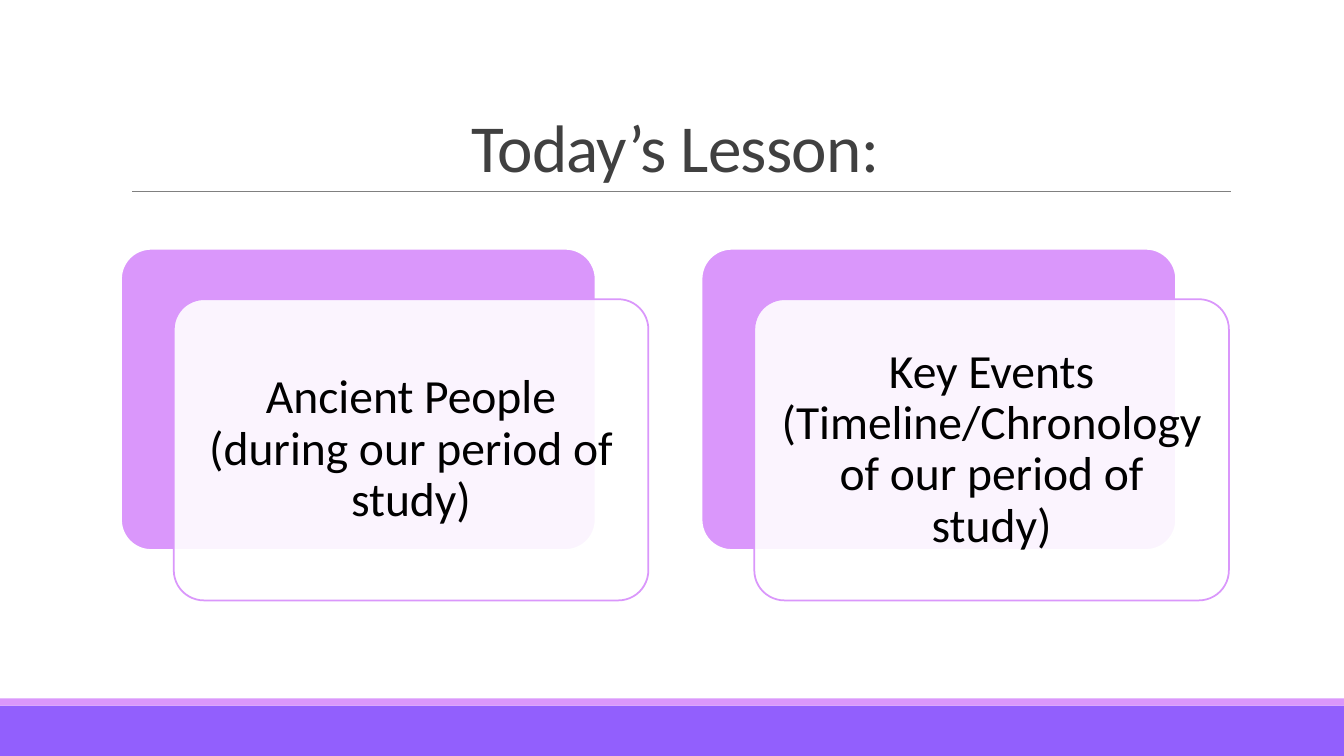
"""Build the lesson overview slide with two layered cards."""
from dataclasses import dataclass

import lxml.etree
import pptx
import pptx.dml.color
import pptx.enum.shapes
import pptx.enum.text
import pptx.oxml.ns
import pptx.util

Cm = pptx.util.Cm
Pt = pptx.util.Pt
SHAPE = pptx.enum.shapes.MSO_SHAPE
ANCHOR = pptx.enum.text.MSO_ANCHOR
qn = pptx.oxml.ns.qn


@dataclass(frozen=True)
class Theme:
    """Hold the colours, font and type sizes."""
    font: str = "Calibri"
    violet: str = "925FFD"
    lilac: str = "DA97FB"
    white: str = "FFFFFF"
    rule: str = "808080"
    title: str = "404040"
    body: str = "000000"
    title_size: int = 48
    body_size: int = 34


def rgb(value):
    """Return a colour object for a hex value."""
    return pptx.dml.color.RGBColor.from_string(value)


def write(tf, text, *, font, size, color, anchor, spacing, inset=None, tracking=None):
    """Write one centred paragraph into a text frame."""
    tf.word_wrap = True
    tf.vertical_anchor = anchor
    if inset is not None:
        tf.margin_left = tf.margin_right = tf.margin_top = tf.margin_bottom = Cm(inset)
    p = tf.paragraphs[0]
    p.alignment = pptx.enum.text.PP_ALIGN.CENTER
    p.line_spacing = spacing
    r = p.add_run()
    r.text = text
    r.font.name = font
    r.font.size = Pt(size)
    r.font.color.rgb = rgb(color)
    if tracking is not None:
        r.font._element.set("spc", str(int(tracking * 100)))


class Deck:
    """Draw styled elements on the current slide."""

    def __init__(self, prs, theme):
        """Add a blank slide and keep its style."""
        self.theme = theme
        self.s = prs.slides.add_slide(prs.slide_layouts[6])

    def box(self, x, y, w, h, fill, *, kind=SHAPE.RECTANGLE, line=None, alpha=None):
        """Add a filled shape with an optional outline and opacity."""
        sp = self.s.shapes.add_shape(kind, Cm(x), Cm(y), Cm(w), Cm(h))
        sp.shadow.inherit = False
        sp.fill.solid()
        sp.fill.fore_color.rgb = rgb(fill)
        if alpha is not None:
            clr = sp._element.spPr.find(f"{qn('a:solidFill')}/{qn('a:srgbClr')}")
            lxml.etree.SubElement(clr, qn("a:alpha"), val=str(alpha * 1000))
        if line is None:
            sp.line.fill.background()
        else:
            sp.line.color.rgb = rgb(line)
            sp.line.width = Pt(1.25)
        if kind == SHAPE.ROUNDED_RECTANGLE:
            sp.adjustments[0] = 0.1
        return sp

    def rule(self, x1, x2, y):
        """Add a thin horizontal line."""
        kind = pptx.enum.shapes.MSO_CONNECTOR.STRAIGHT
        sp = self.s.shapes.add_connector(kind, Cm(x1), Cm(y), Cm(x2), Cm(y))
        sp.line.color.rgb = rgb(self.theme.rule)
        sp.line.width = Pt(0.5)
        lxml.etree.SubElement(sp._element.spPr, qn("a:effectLst"))

    def text(self, x, y, w, h, text, **fmt):
        """Add a text box."""
        sp = self.s.shapes.add_textbox(Cm(x), Cm(y), Cm(w), Cm(h))
        write(sp.text_frame, text, font=self.theme.font, **fmt)

    def card(self, x, y, text):
        """Add a lilac panel, a translucent panel over it and its text."""
        t = self.theme
        w, h, pad = 11.96, 7.59, 0.21
        rounded = SHAPE.ROUNDED_RECTANGLE
        self.box(x, y, w, h, t.lilac, kind=rounded, line=t.white)
        x, y = x + 1.33, y + 1.27
        self.box(x, y, w, h, t.white, kind=rounded, line=t.lilac, alpha=90)
        self.text(x + pad, y + pad, w - 2 * pad, h - 2 * pad, text, size=t.body_size,
                  color=t.body, anchor=ANCHOR.MIDDLE, spacing=0.9, inset=0.36)


def main():
    """Build and save the slide."""
    prs = pptx.Presentation()
    prs.slide_width, prs.slide_height = Cm(33.87), Cm(19.05)
    t = Theme()
    deck = Deck(prs, t)
    deck.box(0, 17.78, 33.87, 1.27, t.violet)
    deck.box(0, 17.6, 33.87, 0.18, t.lilac)
    deck.rule(3.33, 31.01, 4.83)
    deck.text(3.05, 0.79, 27.94, 4.04, "Today’s Lesson:", size=t.title_size,
              color=t.title, anchor=ANCHOR.BOTTOM, spacing=0.85, tracking=-0.5)
    topics = ("Ancient People (during our period of study)",
              "Key Events (Timeline/Chronology of our period of study)")
    for i, topic in enumerate(topics):
        deck.card(3.05 + i * 14.63, 6.27, topic)
    prs.save("out.pptx")


if __name__ == "__main__":
    main()
